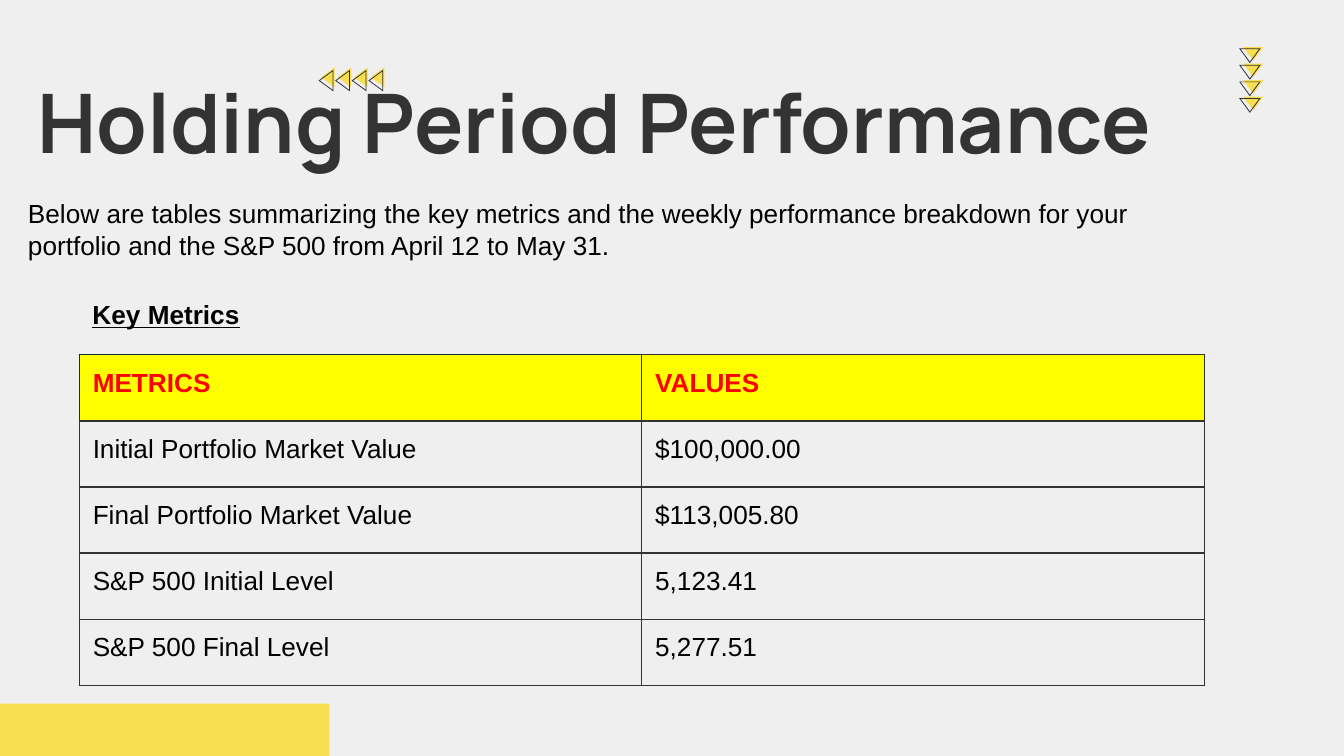
from dataclasses import dataclass

from lxml import etree
from pptx import Presentation
from pptx.dml.color import RGBColor
from pptx.enum.shapes import MSO_SHAPE
from pptx.oxml.ns import qn
from pptx.util import Inches, Pt

RECT = MSO_SHAPE.RECTANGLE


@dataclass(frozen=True)
class Theme:
    page: str = "EFEFEF"
    gold: str = "F7DE51"
    dark: str = "333333"
    black: str = "000000"
    head: str = "FFFF00"
    red: str = "FF0000"
    teal: str = "0C2E3A"
    font: str = "Arial"
    display: str = "Manrope"
    title: float = 44
    body: float = 14
    rule: float = 0.75


THEME = Theme()
WIDE = 10
HIGH = WIDE * 9 / 16
INSET = Inches(0.1)
LEFT = [(1, 0), (0, 0.5), (1, 1)]
DOWN = [(0, 0), (1, 0), (0.5, 1)]
ROWS = [
    ("METRICS", "VALUES"),
    ("Initial Portfolio Market Value", "$100,000.00"),
    ("Final Portfolio Market Value", "$113,005.80"),
    ("S&P 500 Initial Level", "5,123.41"),
    ("S&P 500 Final Level", "5,277.51"),
]


def paint(shape, color):
    shape.shadow.inherit = False
    shape.fill.solid()
    shape.fill.fore_color.rgb = RGBColor.from_string(color)
    shape.line.fill.background()


def style(par, size, color, font=THEME.font, bold=False, line=False):
    par.font.name = font
    par.font.size = Pt(size)
    par.font.color.rgb = RGBColor.from_string(color)
    par.font.bold = bold
    par.font.underline = line


def add_text(slide, box, text, *look, **more):
    frame = slide.shapes.add_textbox(*map(Inches, box)).text_frame
    frame.word_wrap = True
    frame.margin_left = frame.margin_right = INSET
    frame.margin_top = frame.margin_bottom = INSET
    par = frame.paragraphs[0]
    par.text = text
    style(par, *look, **more)


def add_arrow(slide, box, points, color, hollow=False):
    """Triangle in a box; a hollow one has a smaller contour cut out."""
    x, y, w, h = box
    mid = [sum(axis) / 3 for axis in zip(*points)]
    build = None
    for scale in (1, 0.86) if hollow else (1,):
        spots = [(Inches(x + w * (mid[0] + scale * (px - mid[0]))),
                  Inches(y + h * (mid[1] + scale * (py - mid[1]))))
                 for px, py in points]
        if build is None:
            build = slide.shapes.build_freeform(*spots[0], scale=1.0)
        else:
            build.move_to(*spots[0])
        build.add_line_segments(spots[1:], close=True)
    paint(build.convert_to_shape(), color)


def add_trail(slide, box, points, step, shift):
    """Four gold arrows over a box, each with a dark outline set off by shift."""
    x, y, w, h = box
    for i in range(4):
        add_arrow(slide, (x + i * step[0], y + i * step[1], w, h),
                  points, THEME.gold)
    for i in range(4):
        add_arrow(slide, (x + shift[0] + i * step[0],
                          y + shift[1] + i * step[1], w + 0.01, h + 0.01),
                  points, THEME.dark, hollow=True)


def add_edges(cell, color):
    props = cell._tc.get_or_add_tcPr()
    for side in ("a:lnL", "a:lnR", "a:lnT", "a:lnB"):
        edge = etree.SubElement(props, qn(side), w=str(Pt(THEME.rule)))
        fill = etree.SubElement(edge, qn("a:solidFill"))
        etree.SubElement(fill, qn("a:srgbClr"), val=color)


def add_metrics(slide, box):
    x, y, w, h = box
    # Table fills the box below its heading
    top = 0.52
    frame = slide.shapes.add_table(len(ROWS), 2, Inches(x), Inches(y + top),
                                   Inches(w), Inches(h - top))
    table = frame.table
    table.first_row = table.horz_banding = False
    for r, row in enumerate(ROWS):
        first = r == 0
        for c, text in enumerate(row):
            cell = table.cell(r, c)
            cell.margin_left = cell.margin_right = INSET
            cell.margin_top = cell.margin_bottom = INSET
            add_edges(cell, THEME.teal if first and c == 0 else THEME.dark)
            if first:
                cell.fill.solid()
                cell.fill.fore_color.rgb = RGBColor.from_string(THEME.head)
            else:
                cell.fill.background()
            par = cell.text_frame.paragraphs[0]
            par.text = text
            style(par, THEME.body, THEME.red if first else THEME.black,
                  bold=first)

    # Heading above the table
    add_text(slide, (x, y, 3.73, 0.44), "Key Metrics",
             THEME.body, THEME.black, bold=True, line=True)


def add_decor(slide, box):
    x, y, w, h = box
    gap = 0.37 / 3
    add_trail(slide, (x + 2.39, y + 0.5, 0.1, 0.15), LEFT,
              step=(gap, 0), shift=(-0.02, 0.02))
    bar = slide.shapes.add_shape(RECT, Inches(x), Inches(y + h - 0.39),
                                 Inches(2.45), Inches(0.39))
    paint(bar, THEME.gold)
    add_trail(slide, (x + w - 0.75, y + 0.35, 0.15, 0.1), DOWN,
              step=(0, gap), shift=(-0.03, 0.01))


def add_intro(slide, box):
    x, y, w, h = box
    add_text(slide, (x + 0.07, y, w, 1.34), "Holding Period Performance",
             THEME.title, THEME.dark, font=THEME.display, bold=True)
    add_text(slide, (x, y + h - 0.67, 8.78, 0.67),
             "Below are tables summarizing the key metrics and the weekly "
             "performance breakdown for your portfolio and the S&P 500 from "
             "April 12 to May 31.", THEME.body, THEME.black)


def main():
    deck = Presentation()
    deck.slide_width, deck.slide_height = Inches(WIDE), Inches(HIGH)
    slide = deck.slides.add_slide(deck.slide_layouts[6])
    slide.background.fill.solid()
    slide.background.fill.fore_color.rgb = RGBColor.from_string(THEME.page)
    add_decor(slide, (0, 0, WIDE, HIGH))
    add_intro(slide, (0.11, 0.43, 9.5, 1.61))
    add_metrics(slide, (0.59, 2.12, 8.37, 2.98))
    deck.save("out.pptx")


if __name__ == "__main__":
    main()
